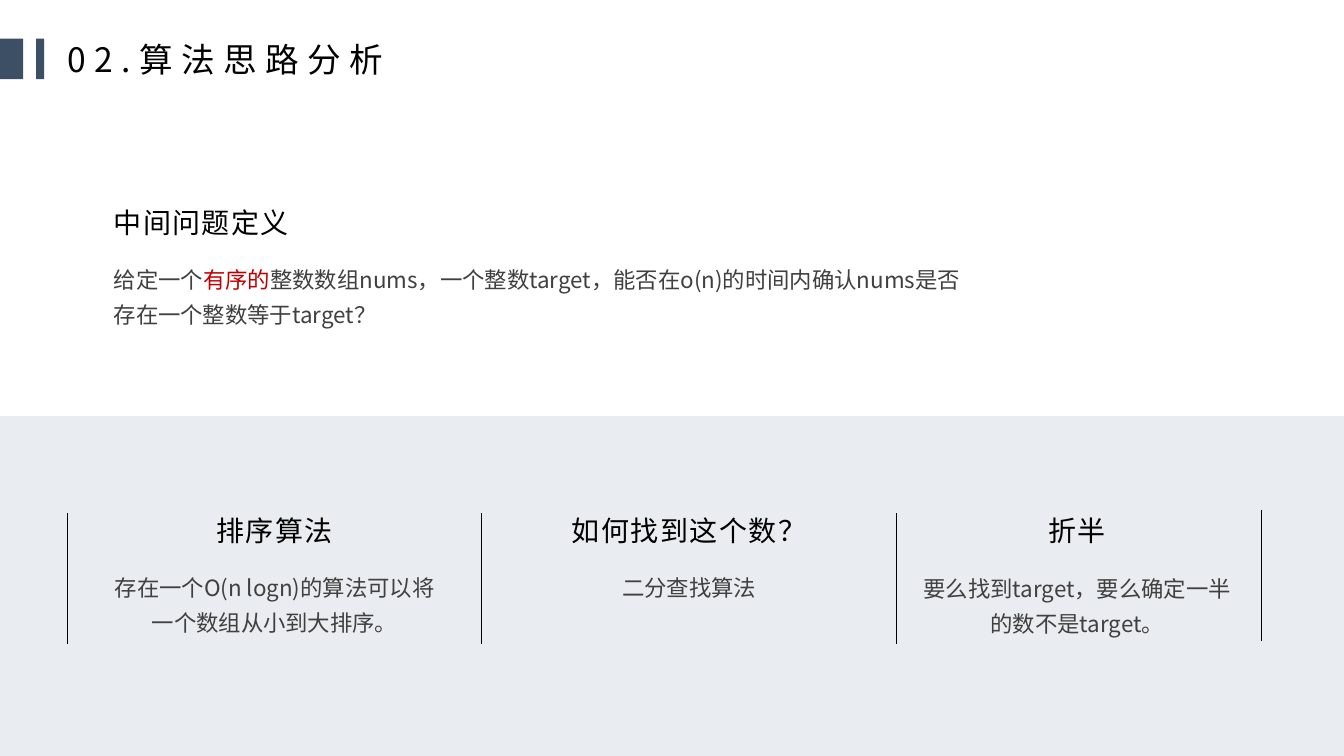
from dataclasses import dataclass

from lxml.etree import SubElement
from pptx import Presentation
from pptx.dml.color import RGBColor
from pptx.enum.shapes import MSO_CONNECTOR, MSO_SHAPE
from pptx.enum.text import MSO_ANCHOR, MSO_AUTO_SIZE, PP_ALIGN
from pptx.oxml.ns import qn
from pptx.util import Pt


@dataclass(frozen=True)
class Theme:
    """Hold the colours, font and type sizes of the slide."""
    font: str = "Noto Sans CJK SC"
    navy: str = "3D4F65"
    band: str = "D4DBE5"
    black: str = "000000"
    grey: str = "404040"
    red: str = "C00000"
    title: int = 24
    heading: int = 20
    body: int = 16


THEME = Theme()
HEADING_WIDTH, BODY_WIDTH = 175.7, 229.7
BODY_OFFSET = 37.8
COLUMN_STEP, RULE_LEFT, RULE_HEIGHT = 296, 48.2, 93.6


def add_block(page, left, top, width, height, color, opacity=None):
    """Draw a plain filled rectangle, optionally see-through."""
    block = page.shapes.add_shape(
        MSO_SHAPE.RECTANGLE, Pt(left), Pt(top), Pt(width), Pt(height))
    block.shadow.inherit = False
    block.line.fill.background()
    block.fill.solid()
    block.fill.fore_color.rgb = RGBColor.from_string(color)
    if opacity is not None:
        tint = block.fill._xPr.find(".//" + qn("a:srgbClr"))
        SubElement(tint, qn("a:alpha")).set("val", str(opacity * 1000))


def add_text(page, frame, spans, size, color, align=PP_ALIGN.LEFT,
             tracking=0, spacing=1.0, anchor=MSO_ANCHOR.TOP, grow=False):
    """Write one paragraph of (text, accent colour or None) spans."""
    box = page.shapes.add_textbox(*(Pt(length) for length in frame))
    text = box.text_frame
    text.margin_left = text.margin_right = 0
    text.margin_top = text.margin_bottom = 0
    text.word_wrap = True
    text.vertical_anchor = anchor
    text.auto_size = MSO_AUTO_SIZE.SHAPE_TO_FIT_TEXT if grow else MSO_AUTO_SIZE.NONE
    para = text.paragraphs[0]
    para.alignment = align
    para.line_spacing = spacing
    font = para.font
    font.size = Pt(size)
    font.name = THEME.font
    font.color.rgb = RGBColor.from_string(color)
    font._rPr.set("spc", str(tracking * 100))
    SubElement(font._rPr, qn("a:ea")).set("typeface", THEME.font)
    for words, accent in spans:
        span = para.add_run()
        span.text = words
        if accent:
            span.font.color.rgb = RGBColor.from_string(accent)


def add_heading(page, left, top, words, align):
    """Write a section heading."""
    add_text(page, (left, top, HEADING_WIDTH, 24.5), [(words, None)],
             THEME.heading, THEME.black, align, tracking=1, grow=True)


def add_body(page, left, top, width, spans, align):
    """Write an explanatory paragraph."""
    add_text(page, (left, top, width, 85), spans, THEME.body, THEME.grey,
             align, spacing=1.3)


def add_column(page, center, top, heading, body):
    """Write a centred heading with its paragraph below."""
    add_heading(page, center - HEADING_WIDTH / 2, top, heading, PP_ALIGN.CENTER)
    add_body(page, center - BODY_WIDTH / 2, top + BODY_OFFSET, BODY_WIDTH,
             [(body, None)], PP_ALIGN.CENTER)


def add_rule(page, left, top):
    """Draw a thin vertical divider."""
    rule = page.shapes.add_connector(
        MSO_CONNECTOR.STRAIGHT, Pt(left), Pt(top), Pt(left), Pt(top + RULE_HEIGHT))
    rule.line.width = Pt(0.5)
    rule.line.color.rgb = RGBColor.from_string(THEME.black)
    SubElement(rule._element.spPr, qn("a:effectLst"))


def main():
    """Build the slide and save the deck."""
    deck = Presentation()
    deck.slide_width, deck.slide_height = Pt(960), Pt(540)
    page = deck.slides.add_slide(deck.slide_layouts[6])

    for left, width in ((0, 16.5), (25.8, 5.8)):
        add_block(page, left, 27.7, width, 28.8, THEME.navy)
    add_block(page, 0, 297.2, 960, 242.8, THEME.band, opacity=50)
    add_text(page, (48.2, 18, 337, 48.2), [("02.算法思路分析", None)],
             THEME.title, THEME.black, tracking=6, anchor=MSO_ANCHOR.MIDDLE)

    add_heading(page, 81.2, 146.8, "中间问题定义", PP_ALIGN.LEFT)
    add_body(page, 81.2, 146.8 + BODY_OFFSET, 613.4, [
        ("给定一个", None),
        ("有序的", THEME.red),
        ("整数数组nums，一个整数target，能否在o(n)的时间内确认nums"
         "是否存在一个整数等于target？", None),
    ], PP_ALIGN.LEFT)

    columns = [
        (196.2, 366.5, "排序算法", "存在一个O(n logn)的算法可以将一个数组从小到大排序。"),
        (492.2, 366.5, "如何找到这个数？", "二分查找算法"),
        (769.5, 367, "折半", "要么找到target，要么确定一半的数不是target。"),
    ]
    for index, column in enumerate(columns):
        add_rule(page, RULE_LEFT + index * COLUMN_STEP, 366.5)
        add_column(page, *column)
    add_rule(page, 900.8, 364.5)

    deck.save("out.pptx")


if __name__ == "__main__":
    main()
